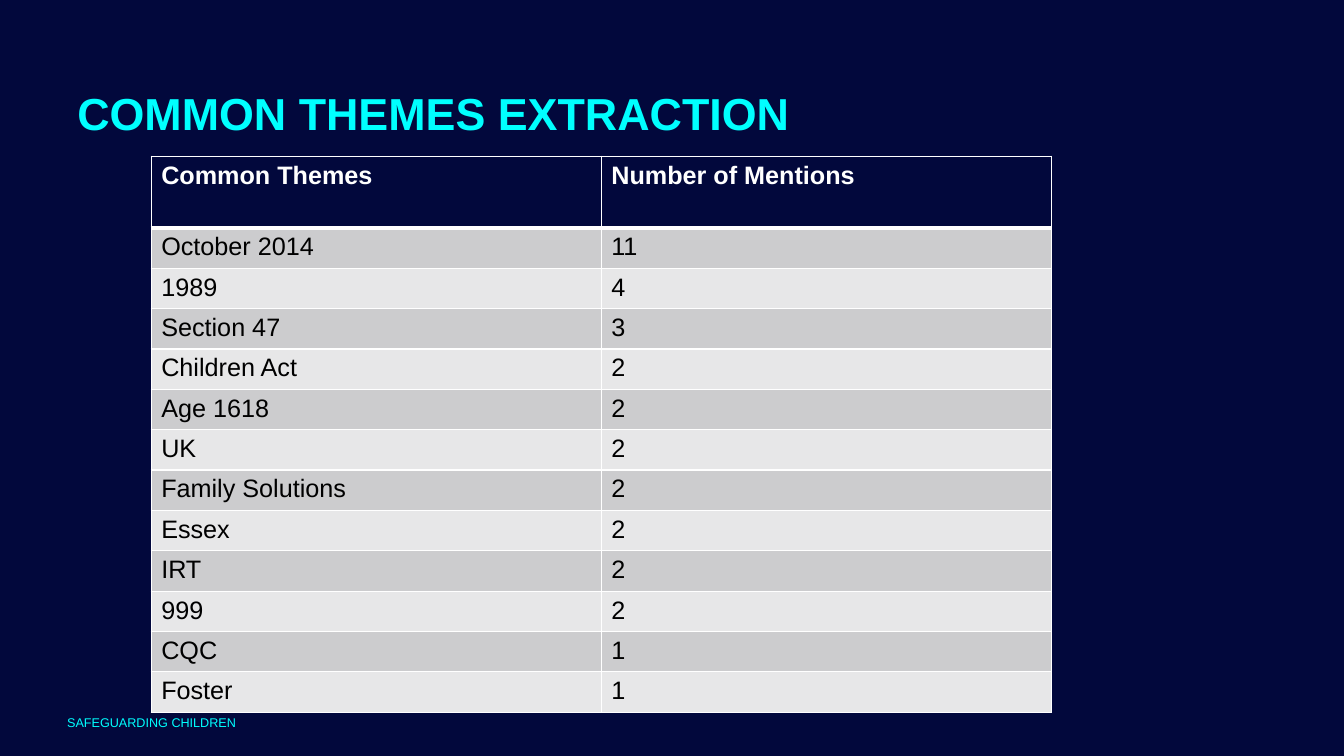
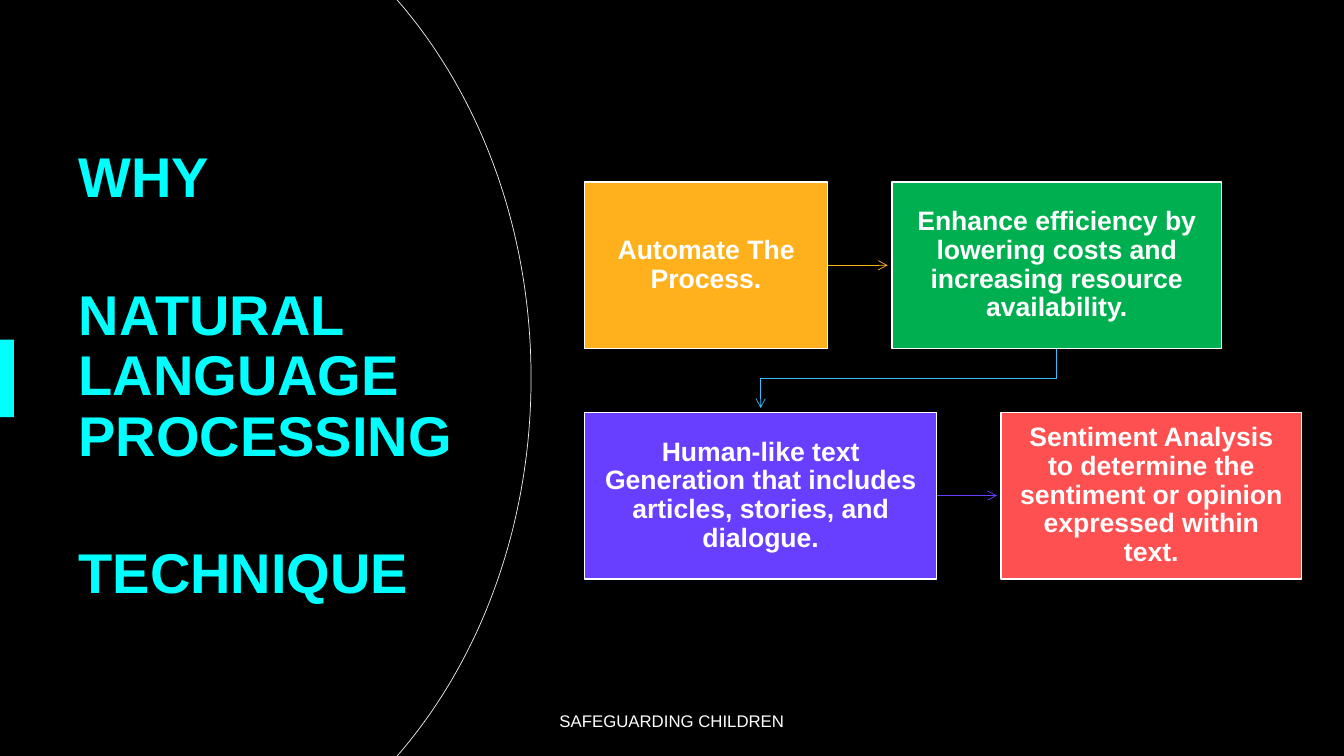
from pptx import Presentation
from pptx.dml.color import RGBColor as RGB
from pptx.enum.shapes import MSO_CONNECTOR as Conn, MSO_SHAPE as Geo
from pptx.enum.text import MSO_ANCHOR as Anchor, MSO_AUTO_SIZE as Fit, PP_ALIGN as Align
from pptx.oxml import parse_xml
from pptx.oxml.ns import nsdecls
from pptx.util import Pt

# Content
TABLE_TITLE = ["COMMON THEMES EXTRACTION"]
WHY_TITLE = ["WHY", "NATURAL LANGUAGE PROCESSING", "TECHNIQUE"]
FOOTER = "SAFEGUARDING CHILDREN"
HEAD = ("Common Themes", "Number of Mentions")
THEMES = [
    ("October 2014", 11), ("1989", 4), ("Section 47", 3), ("Children Act", 2),
    ("Age 1618", 2), ("UK", 2), ("Family Solutions", 2), ("Essex", 2),
    ("IRT", 2), ("999", 2), ("CQC", 1), ("Foster", 1),
]

# Colours and font
FONT = "Arial"
NAVY = RGB(0x02, 0x08, 0x3C)
BLACK = RGB(0, 0, 0)
WHITE = RGB(255, 255, 255)
CYAN = RGB(0, 255, 255)
PALE = RGB(0xEF, 0xEF, 0xEF)
BANDS = (RGB(0xCC, 0xCC, 0xCE), RGB(0xE7, 0xE7, 0xE8))
AMBER = RGB(0xFF, 0xB1, 0x1D)
GREEN = RGB(0, 0xB0, 0x50)
VIOLET = RGB(0x68, 0x3F, 0xFF)
CORAL = RGB(0xFF, 0x50, 0x51)
SKY = RGB(0x37, 0xBE, 0xFF)

# Steps by row: text, width, fill
STEPS = [
    [("Automate The Process.", 173.5, AMBER),
     ("Enhance efficiency by lowering costs and increasing resource availability.",
      235.5, GREEN)],
    [("Human-like text Generation that includes articles, stories, and dialogue.",
      251.5, VIOLET),
     ("Sentiment Analysis to determine the sentiment or opinion expressed within text.",
      214.5, CORAL)],
]
STEP_X, STEP_Y, STEP_H = 417.6, 130, 119
GAP_X, GAP_Y, TIP = 46, 45.5, 3  # TIP: space between arrowhead and box

WIDE, HIGH = 960, 540


def style(par, size, color, bold=False, align=Align.LEFT):
    par.alignment = align
    font = par.font
    font.name, font.size, font.bold = FONT, Pt(size), bold
    font.color.rgb = color


def place(shape, box):
    shape.left, shape.top, shape.width, shape.height = map(Pt, box)


def start(deck, back, lines, box, size, anchor, gap=0):
    """Add a slide with its background and title."""
    slide = deck.slides.add_slide(deck.slide_layouts[5])
    slide.background.fill.solid()
    slide.background.fill.fore_color.rgb = back
    title = slide.shapes.title
    place(title, box)
    frame = title.text_frame
    frame.text = "\n".join(lines)
    frame.word_wrap, frame.auto_size = True, Fit.NONE
    frame.vertical_anchor = anchor
    for i, par in enumerate(frame.paragraphs):
        style(par, size, CYAN, True)
        par.line_spacing = 0.9 if len(lines) > 1 else 1
        par.space_before = Pt(gap if i else 0)
    return slide


def footer(slide, box, size, color, align):
    text = slide.shapes.add_textbox(*map(Pt, box))
    frame = text.text_frame
    frame.word_wrap, frame.vertical_anchor = True, Anchor.MIDDLE
    frame.margin_left = frame.margin_right = 0
    frame.margin_top = frame.margin_bottom = 0
    frame.text = FOOTER
    style(frame.paragraphs[0], size, color, align=align)


def block(slide, box, fill, line=None):
    shape = slide.shapes.add_shape(Geo.RECTANGLE, *map(Pt, box))
    shape.shadow.inherit = False
    shape.fill.solid()
    shape.fill.fore_color.rgb = fill
    if line is None:
        shape.line.fill.background()
    else:
        shape.line.color.rgb, shape.line.width = line, Pt(1)
    return shape


def borders(cell, **widths):
    """Draw white cell borders; widths by side: L, R, T, B."""
    props = cell._tc.get_or_add_tcPr()
    for i, side in enumerate("LRTB"):
        props.insert(i, parse_xml(
            f'<a:ln{side} {nsdecls("a")} w="{Pt(widths.get(side, 1))}">'
            f'<a:solidFill><a:srgbClr val="{WHITE}"/></a:solidFill></a:ln{side}>'))


def arrow(slide, kind, x1, y1, x2, y2, color):
    link = slide.shapes.add_connector(kind, *map(Pt, (x1, y1, x2, y2)))
    link.line.color.rgb, link.line.width = color, Pt(0.5)
    link.line._get_or_add_ln().append(
        parse_xml(f'<a:tailEnd {nsdecls("a")} type="arrow"/>'))
    link._element.spPr.append(parse_xml(f'<a:effectLst {nsdecls("a")}/>'))
    return link


def themes(deck):
    slide = start(deck, NAVY, TABLE_TITLE, (48, 57.6, 577, 46), 32, Anchor.TOP)
    footer(slide, (48, 510.5, 324, 11.5), 9, CYAN, Align.LEFT)
    rows = [HEAD, *THEMES]
    tall = [51.2] + [28.8] * len(THEMES)
    table = slide.shapes.add_table(
        len(rows), 2, Pt(108), Pt(111.6), Pt(643), Pt(sum(tall))).table
    for r, row in enumerate(rows):
        table.rows[r].height = Pt(tall[r])
        for c, value in enumerate(row):
            cell = table.cell(r, c)
            cell.text = str(value)
            style(cell.text_frame.paragraphs[0], 18, BLACK if r else WHITE, r == 0)
            cell.fill.solid()
            cell.fill.fore_color.rgb = BANDS[(r - 1) % 2] if r else NAVY
            borders(cell, T=3 if r == 1 else 1, B=1 if r else 3)


def arc(slide):
    """Draw the curve right of the title, mirrored about mid-height."""
    knots = [(288.7, 5.8), (344.9, 73.4), (379.4, 167), (379.4, HIGH / 2)]
    upper = [(283.7, 0)]
    for i in range(41):
        t = i / 40
        parts = ((1 - t) ** 3, 3 * t * (1 - t) ** 2, 3 * t * t * (1 - t), t ** 3)
        upper.append(tuple(sum(p * k[a] for p, k in zip(parts, knots)) for a in (0, 1)))
    lower = [(x, HIGH - y) for x, y in reversed(upper[:-1])]
    points = [(Pt(x), Pt(y)) for x, y in upper + lower]
    pen = slide.shapes.build_freeform(*points[0])
    pen.add_line_segments(points[1:], close=False)
    curve = pen.convert_to_shape()
    curve.shadow.inherit = False
    curve.fill.background()
    curve.line.color.rgb, curve.line.width = PALE, Pt(0.5)


def why(deck):
    slide = start(deck, BLACK, WHY_TITLE, (49, 91.5, 284, 356.5), 40,
                  Anchor.MIDDLE, gap=55)
    arc(slide)
    block(slide, (0, 242.6, 10, 55.4), CYAN)
    footer(slide, (318, 500.5, 324, 29), 12, WHITE, Align.CENTER)

    # Step boxes, with a straight arrow between neighbours
    mids = []
    for r, row in enumerate(STEPS):
        x, y = STEP_X, STEP_Y + r * (STEP_H + GAP_Y)
        last = None
        for text, wide, fill in row:
            box = block(slide, (x, y, wide, STEP_H), fill, WHITE)
            frame = box.text_frame
            frame.word_wrap, frame.vertical_anchor = True, Anchor.MIDDLE
            frame.margin_left = frame.margin_right = Pt(9.5)
            frame.margin_top = frame.margin_bottom = Pt(10)
            frame.text = text
            par = frame.paragraphs[0]
            style(par, 19, WHITE, True, Align.CENTER)
            par.line_spacing = 0.9
            if last:
                mid = y + STEP_H / 2
                link = arrow(slide, Conn.STRAIGHT, x - GAP_X, mid, x - TIP, mid, row[0][2])
                link.begin_connect(last, 3)
            last = box
            mids.append(x + wide / 2)
            x += wide + GAP_X

    # Elbow from the second box down to the third: a turned connector
    top, end = STEP_Y + STEP_H, STEP_Y + STEP_H + GAP_Y - TIP
    cx, cy = (mids[1] + mids[2]) / 2, (top + end) / 2
    run, drop = (mids[1] - mids[2]) / 2, (end - top) / 2
    elbow = arrow(slide, Conn.ELBOW, cx - drop, cy - run, cx + drop, cy + run, SKY)
    elbow._element.spPr.xfrm.set("rot", str(90 * 60000))


def main():
    deck = Presentation()
    deck.slide_width, deck.slide_height = Pt(WIDE), Pt(HIGH)
    themes(deck)
    why(deck)
    deck.save("out.pptx")


if __name__ == "__main__":
    main()
